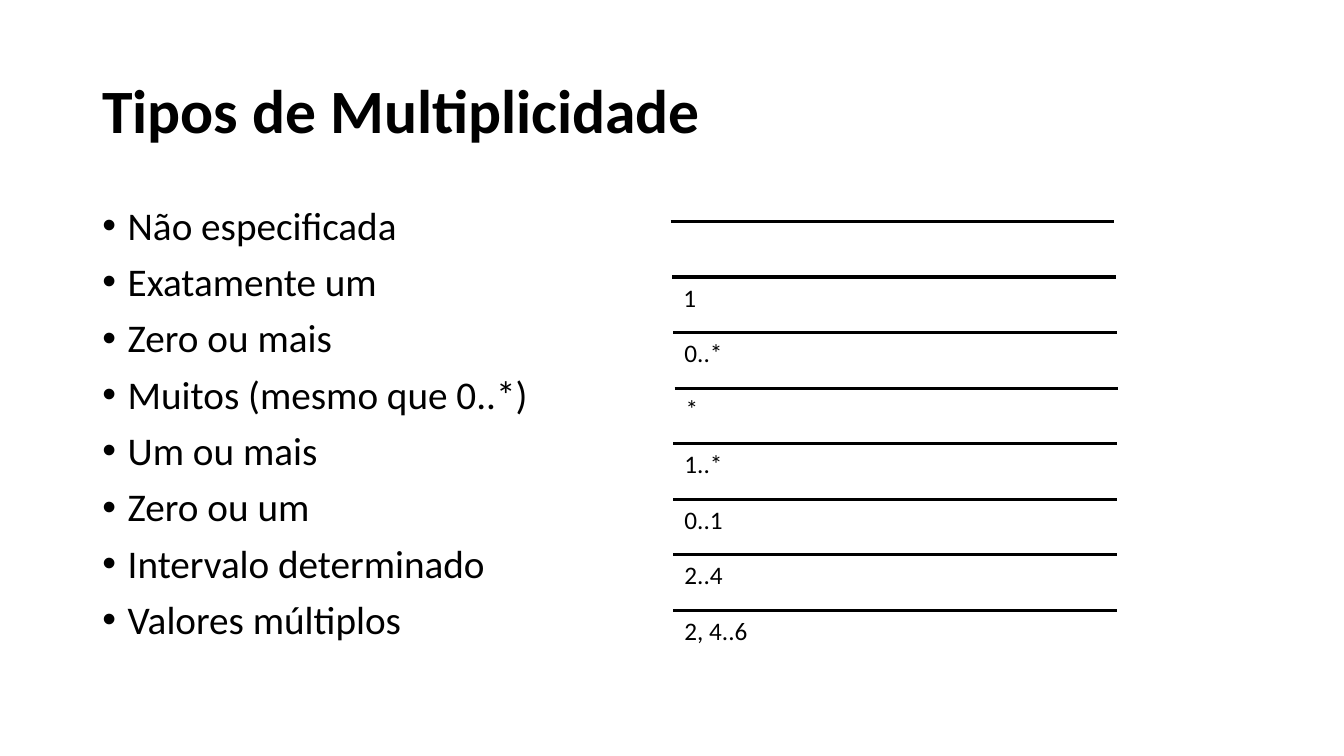
from dataclasses import dataclass

from lxml.etree import SubElement
from pptx import Presentation
from pptx.dml.color import RGBColor
from pptx.enum.shapes import MSO_CONNECTOR as Connector
from pptx.enum.text import MSO_ANCHOR as Anchor, MSO_AUTO_SIZE as AutoSize
from pptx.oxml.ns import qn
from pptx.slide import Slide
from pptx.text.text import TextFrame, _Paragraph as Paragraph
from pptx.util import Cm, Pt


@dataclass(frozen=True)
class Theme:
    font: str = "Calibri"
    ink: RGBColor = RGBColor(0, 0, 0)
    paper: RGBColor = RGBColor(255, 255, 255)
    title_size: float = 44
    body_size: float = 28
    label_size: float = 18
    rule_width: float = 2.25


@dataclass(frozen=True)
class Multiplicity:
    description: str
    notation: str = ""
    rule_left: float = 16.97
    label_width: float = 1.47


THEME = Theme()
MARGIN, CONTENT_WIDTH = 2.33, 29.21
RULE_TOP, RULE_PITCH, RULE_LENGTH = 5.58, 1.4, 11.18
LABEL_INSET, LABEL_HEIGHT = 0.03, 1.03
BULLET_INDENT = 0.64

MULTIPLICITIES = [
    Multiplicity("Não especificada", rule_left=16.9),
    Multiplicity("Exatamente um", "1", 16.94, 0.84),
    Multiplicity("Zero ou mais", "0..*"),
    Multiplicity("Muitos (mesmo que 0..*)", "*", 17.0, 0.84),
    Multiplicity("Um ou mais", "1..*"),
    Multiplicity("Zero ou um", "0..1"),
    Multiplicity("Intervalo determinado", "2..4"),
    Multiplicity("Valores múltiplos", "2, 4..6", label_width=2.11),
]


def add_frame(slide: Slide, left: float, top: float, width: float, height: float,
              wrap: bool = True) -> TextFrame:
    frame = slide.shapes.add_textbox(Cm(left), Cm(top), Cm(width), Cm(height)).text_frame
    frame.word_wrap = wrap
    return frame


def add_run(paragraph: Paragraph, wording: str, size: float, bold: bool = False) -> None:
    run = paragraph.add_run()
    run.text = wording
    run.font.name = THEME.font
    run.font.size = Pt(size)
    run.font.bold = bold
    run.font.color.rgb = THEME.ink


def set_bullet(paragraph: Paragraph) -> None:
    properties = paragraph._p.get_or_add_pPr()
    properties.set("marL", str(Cm(BULLET_INDENT)))
    properties.set("indent", str(-Cm(BULLET_INDENT)))
    SubElement(properties, qn("a:buFont"), typeface="Arial")
    SubElement(properties, qn("a:buChar"), char="•")


def draw_title(slide: Slide, wording: str) -> None:
    heading = add_frame(slide, MARGIN, 1.01, CONTENT_WIDTH, 3.68)
    heading.vertical_anchor = Anchor.MIDDLE
    heading.paragraphs[0].line_spacing = 0.9
    add_run(heading.paragraphs[0], wording, THEME.title_size, bold=True)


def draw_descriptions(slide: Slide, multiplicities: list[Multiplicity]) -> None:
    descriptions = add_frame(slide, MARGIN, 5.07, CONTENT_WIDTH, 12.09)
    for index, multiplicity in enumerate(multiplicities):
        entry = descriptions.add_paragraph() if index else descriptions.paragraphs[0]
        entry.line_spacing = 0.9
        entry.space_before = Pt(10)
        set_bullet(entry)
        add_run(entry, multiplicity.description, THEME.body_size)


def draw_notation(slide: Slide, multiplicity: Multiplicity, top: float) -> None:
    left = multiplicity.rule_left
    rule = slide.shapes.add_connector(
        Connector.STRAIGHT, Cm(left), Cm(top), Cm(left + RULE_LENGTH), Cm(top))
    rule.line.color.rgb = THEME.ink
    rule.line.width = Pt(THEME.rule_width)
    SubElement(rule._element.spPr, qn("a:effectLst"))
    if multiplicity.notation:
        label = add_frame(slide, left + LABEL_INSET, top, multiplicity.label_width,
                          LABEL_HEIGHT, wrap=False)
        label.auto_size = AutoSize.SHAPE_TO_FIT_TEXT
        add_run(label.paragraphs[0], multiplicity.notation, THEME.label_size)


def main() -> None:
    deck = Presentation()
    deck.slide_width, deck.slide_height = Cm(33.87), Cm(19.05)
    slide = deck.slides.add_slide(deck.slide_layouts[6])
    slide.background.fill.solid()
    slide.background.fill.fore_color.rgb = THEME.paper
    draw_title(slide, "Tipos de Multiplicidade")
    draw_descriptions(slide, MULTIPLICITIES)
    for row, multiplicity in enumerate(MULTIPLICITIES):
        draw_notation(slide, multiplicity, RULE_TOP + row * RULE_PITCH)
    deck.save("out.pptx")


if __name__ == "__main__":
    main()
